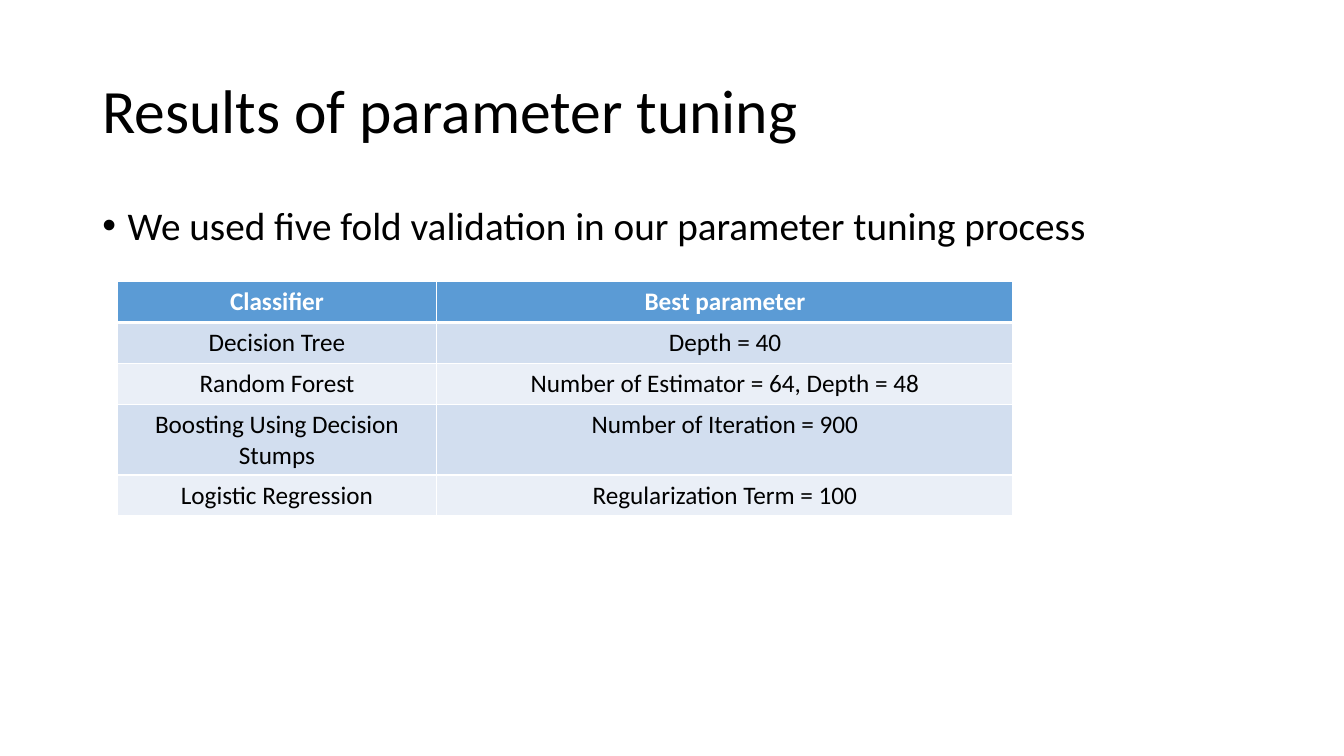
from lxml.etree import SubElement
from pptx import Presentation
from pptx.dml.color import RGBColor
from pptx.enum.text import MSO_ANCHOR, PP_ALIGN
from pptx.oxml.ns import qn
from pptx.util import Cm, Pt

# Content
TITLE = "Results of parameter tuning"
BULLET = "We used five fold validation in our parameter tuning process"
RESULTS = [
    ("Classifier", "Best parameter"),
    ("Decision Tree", "Depth = 40"),
    ("Random Forest", "Number of Estimator = 64, Depth = 48"),
    ("Boosting Using Decision Stumps", "Number of Iteration = 900"),
    ("Logistic Regression", "Regularization Term = 100"),
]

# Style
FONT = "Calibri"
BLACK = RGBColor(0x00, 0x00, 0x00)
WHITE = RGBColor(0xFF, 0xFF, 0xFF)
HEADER_BLUE = RGBColor(0x5B, 0x9B, 0xD5)
BANDS = (RGBColor(0xD2, 0xDE, 0xEF), RGBColor(0xEA, 0xEF, 0xF7))

# Layout
MARGIN, TEXT_WIDTH = Cm(2.33), Cm(29.21)
COLUMN_WIDTHS = (Cm(8.06), Cm(14.52))
ROW_HEIGHT, TALL_ROW_HEIGHT = Cm(1.03), Cm(1.78)
TALL_ROW = 3


def add_span(para, text, size, color, bold=False):
    span = para.add_run()
    span.text = text
    span.font.name = FONT
    span.font.size = Pt(size)
    span.font.color.rgb = color
    span.font.bold = bold


def add_text(page, top, height, text, size, anchor):
    box = page.shapes.add_textbox(MARGIN, top, TEXT_WIDTH, height)
    frame = box.text_frame
    frame.word_wrap = True
    frame.vertical_anchor = anchor
    para = frame.paragraphs[0]
    para.line_spacing = 0.9
    add_span(para, text, size, BLACK)
    return para


def add_bullet(para, indent):
    properties = para._p.get_or_add_pPr()
    properties.set("marL", str(indent))
    properties.set("indent", str(-indent))
    SubElement(properties, qn("a:buFont"), typeface="Arial")
    SubElement(properties, qn("a:buChar"), char="•")


def add_border(cell, side, points):
    line = SubElement(cell._tc.get_or_add_tcPr(), qn(f"a:{side}"), w=str(Pt(points)))
    fill = SubElement(line, qn("a:solidFill"))
    SubElement(fill, qn("a:srgbClr"), val=str(WHITE))


deck = Presentation()
deck.slide_width, deck.slide_height = Cm(33.87), Cm(19.05)
page = deck.slides.add_slide(deck.slide_layouts[6])

# Title and bullet
add_text(page, Cm(1.01), Cm(3.68), TITLE, 44, MSO_ANCHOR.MIDDLE)
bullet = add_text(page, Cm(5.07), Cm(12.09), BULLET, 28, MSO_ANCHOR.TOP)
bullet.space_before = Pt(10)
add_bullet(bullet, Cm(0.64))

# Results table
table_height = ROW_HEIGHT * (len(RESULTS) - 1) + TALL_ROW_HEIGHT
table = page.shapes.add_table(
    len(RESULTS), len(COLUMN_WIDTHS), Cm(2.95), Cm(7.1), sum(COLUMN_WIDTHS), table_height
).table
for column, width in zip(table.columns, COLUMN_WIDTHS):
    column.width = width

for row_index, values in enumerate(RESULTS):
    is_header = row_index == 0
    table.rows[row_index].height = TALL_ROW_HEIGHT if row_index == TALL_ROW else ROW_HEIGHT
    for column_index, value in enumerate(values):
        cell = table.cell(row_index, column_index)
        # The rule under the header is thick on both cells that share it
        add_border(cell, "lnL", 1)
        add_border(cell, "lnR", 1)
        add_border(cell, "lnT", 3 if row_index == 1 else 1)
        add_border(cell, "lnB", 3 if is_header else 1)
        cell.fill.solid()
        cell.fill.fore_color.rgb = HEADER_BLUE if is_header else BANDS[(row_index - 1) % 2]
        para = cell.text_frame.paragraphs[0]
        para.alignment = PP_ALIGN.CENTER
        add_span(para, value, 18, WHITE if is_header else BLACK, is_header)

deck.save("out.pptx")
